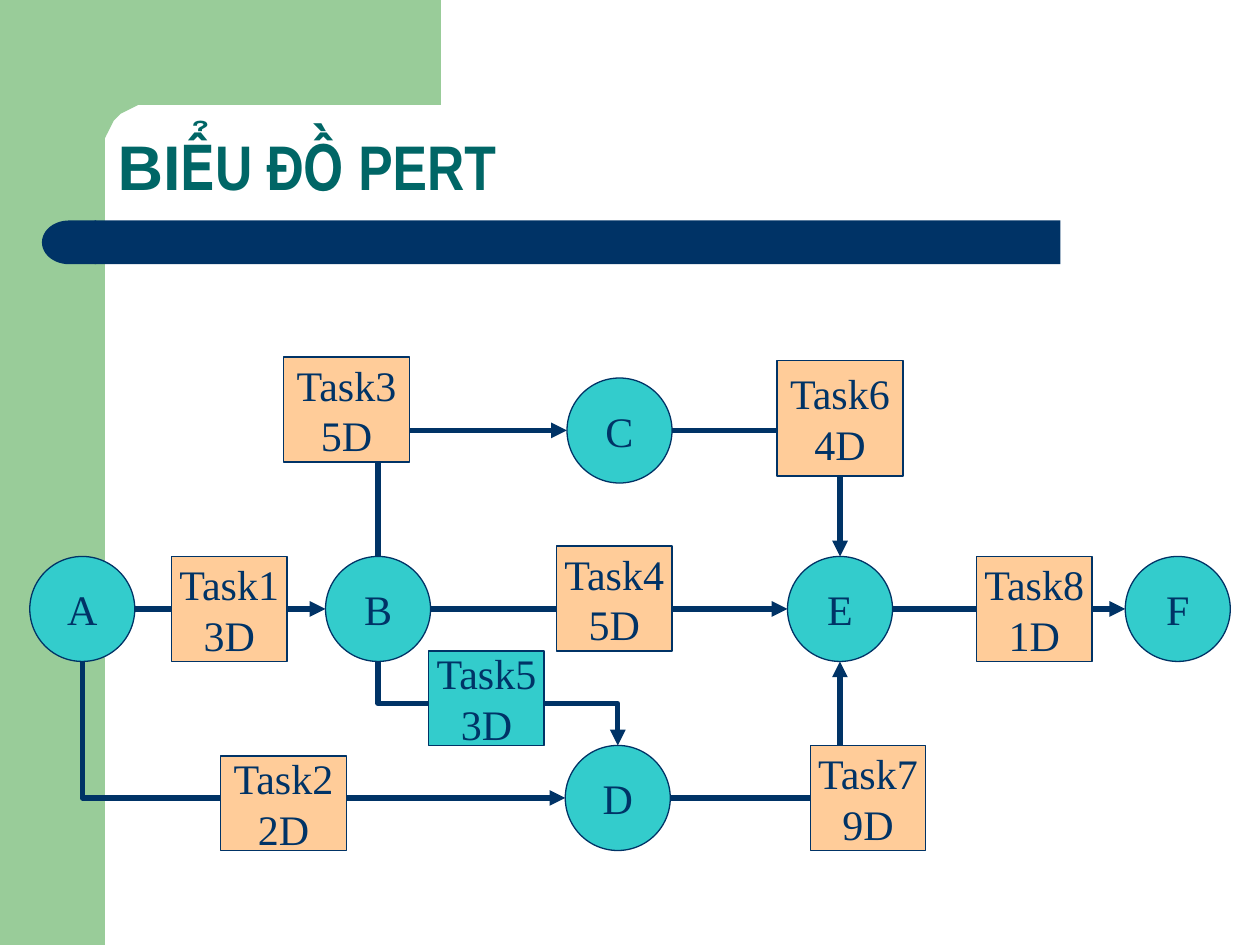
from math import cos, pi, sin
from lxml.etree import SubElement
from pptx import Presentation
from pptx.dml.color import RGBColor
from pptx.enum.shapes import MSO_CONNECTOR, MSO_SHAPE
from pptx.enum.text import MSO_ANCHOR, MSO_AUTO_SIZE, PP_ALIGN
from pptx.oxml.ns import qn
from pptx.util import Pt

NAVY, GREEN, TEAL = "003366", "99CC99", "006666"
TURQUOISE, PEACH = "33CCCC", "FFCC99"
NODE_SIZE = 60

# Node centres, relative to the diagram box
NODES = {"A": (30, 144), "B": (199, 144), "E": (463, 144),
         "D": (336, 252), "C": (337, 42), "F": (656, 144)}
# Name, duration, left, top, width, height, fill
TASKS = [
    ("Task1", "3D", 81, 114, 66, 60, PEACH),
    ("Task7", "9D", 446, 222, 66, 60, PEACH),
    ("Task2", "2D", 109, 228, 72, 54, PEACH),
    ("Task5", "3D", 228, 168, 66, 54, TURQUOISE),
    ("Task4", "5D", 301, 108, 66, 60, PEACH),
    ("Task3", "5D", 145, 0, 72, 60, PEACH),
    ("Task6", "4D", 427, 2, 72, 66, PEACH),
    ("Task8", "1D", 541, 114, 66, 60, PEACH),
]
# From node and side, to node and side, connector preset
LINKS = [
    ("B", "top", "C", "left", "bentConnector2"),
    ("C", "right", "E", "top", "bentConnector2"),
    ("A", "bottom", "D", "left", "bentConnector2"),
    ("D", "right", "E", "bottom", "bentConnector2"),
    ("B", "bottom", "D", "top", "bentConnector3"),
    ("A", "right", "B", "left", "line"),
    ("B", "right", "E", "left", "line"),
    ("E", "right", "F", "left", "line"),
]
SIDES = {"top": (0, -1), "left": (-1, 0), "bottom": (0, 1), "right": (1, 0)}


def color(value):
    return RGBColor.from_string(value)


def paint(shape, fill, line=None):
    shape.shadow.inherit = False
    shape.fill.solid()
    shape.fill.fore_color.rgb = color(fill)
    if line:
        shape.line.color.rgb = color(line)
        shape.line.width = Pt(0.75)
    else:
        shape.line.fill.background()


def add_shape(slide, kind, left, top, width, height, fill, line=None):
    shape = slide.shapes.add_shape(kind, Pt(left), Pt(top), Pt(width), Pt(height))
    paint(shape, fill, line)
    return shape


def add_run(paragraph, text, font, size, value, bold=False):
    run = paragraph.add_run()
    run.text = text
    run.font.name, run.font.size, run.font.bold = font, Pt(size), bold
    run.font.color.rgb = color(value)


def add_label(shape, lines):
    frame = shape.text_frame
    frame.word_wrap = False
    frame.vertical_anchor = MSO_ANCHOR.MIDDLE
    for index, text in enumerate(lines):
        paragraph = frame.paragraphs[0] if index == 0 else frame.add_paragraph()
        paragraph.alignment = PP_ALIGN.CENTER
        add_run(paragraph, text, "Times New Roman", 24, NAVY)


def add_arrow(slide, start, end, preset, vertical_first):
    kind = MSO_CONNECTOR.STRAIGHT if preset == "line" else MSO_CONNECTOR.ELBOW
    connector = slide.shapes.add_connector(kind, *map(Pt, start + end))
    connector.line.color.rgb = color(NAVY)
    connector.line.width = Pt(3)
    properties = connector._element.spPr
    SubElement(properties.find(qn("a:ln")), qn("a:tailEnd"), type="triangle")
    SubElement(properties, qn("a:effectLst"))
    properties.find(qn("a:prstGeom")).set("prst", preset)
    if vertical_first:
        # Turn the box a quarter so that the first leg runs up or down
        (x1, y1), (x2, y2) = start, end
        width, height = abs(y2 - y1), abs(x2 - x1)
        connector.left = Pt((x1 + x2 - width) / 2)
        connector.top = Pt((y1 + y2 - height) / 2)
        connector.width, connector.height = Pt(width), Pt(height)
        upward = y2 < y1
        connector.rotation = 90 if upward else 270
        frame = properties.find(qn("a:xfrm"))
        frame.set("flipH", "1")
        frame.set("flipV", "1" if upward else "0")


def add_background(slide, left, top, width, height):
    band = 60
    add_shape(slide, MSO_SHAPE.RECTANGLE, left, top, band, height, GREEN)
    # Top block with a rounded inner corner
    radius, right = 24, left + 252
    center = left + band + radius, top + band + radius
    arc = [(center[0] - radius * sin(step * pi / 32),
            center[1] - radius * cos(step * pi / 32)) for step in range(17)]
    points = [(right, top), (right, top + band), *arc,
              (left + band, top + 92), (left + 36, top + 92), (left + 36, top)]
    builder = slide.shapes.build_freeform(*points[0], scale=Pt(1))
    builder.add_line_segments(points[1:], close=True)
    paint(builder.convert_to_shape(), GREEN)


def add_title_bar(slide, left, top, width, height):
    cap = 30
    add_shape(slide, MSO_SHAPE.RECTANGLE, left + cap, top, width - cap, height, NAVY)
    end = add_shape(slide, MSO_SHAPE.FLOWCHART_DELAY, left, top, cap + 1, height, NAVY)
    end._element.spPr.find(qn("a:xfrm")).set("flipH", "1")


def add_title(slide, left, top, width, height):
    title = slide.shapes.title
    title.left, title.top = Pt(left), Pt(top)
    title.width, title.height = Pt(width), Pt(height)
    frame = title.text_frame
    frame.word_wrap = True
    frame.auto_size = MSO_AUTO_SIZE.NONE
    frame.vertical_anchor = MSO_ANCHOR.BOTTOM
    paragraph = frame.paragraphs[0]
    paragraph.alignment = PP_ALIGN.LEFT
    paragraph.line_spacing = 0.9
    add_run(paragraph, "BI", "Arial", 36, TEAL, True)
    add_run(paragraph, "ỂU ĐỒ PERT", "Arial Narrow", 36, TEAL, True)


def add_pert_diagram(slide, left, top):
    radius = NODE_SIZE / 2

    def port(node, side):
        (x, y), (dx, dy) = NODES[node], SIDES[side]
        return left + x + dx * radius, top + y + dy * radius

    # Event circles
    for name, (x, y) in NODES.items():
        circle = add_shape(slide, MSO_SHAPE.OVAL, left + x - radius, top + y - radius,
                           NODE_SIZE, NODE_SIZE, TURQUOISE, NAVY)
        add_label(circle, [name])
    # Arrows, passing behind the task boxes
    for source, source_side, target, target_side, preset in LINKS:
        add_arrow(slide, port(source, source_side), port(target, target_side),
                  preset, source_side in ("top", "bottom"))
    # Task boxes
    for name, duration, x, y, width, height, fill in TASKS:
        box = add_shape(slide, MSO_SHAPE.RECTANGLE, left + x, top + y,
                        width, height, fill, NAVY)
        add_label(box, [name, duration])


def main():
    presentation = Presentation()
    presentation.slide_width, presentation.slide_height = Pt(720), Pt(540)
    slide = presentation.slides.add_slide(presentation.slide_layouts[5])
    add_background(slide, 0, 0, 720, 540)
    add_title_bar(slide, 24, 126, 582, 25)
    add_title(slide, 60, 60, 564, 60)
    add_pert_diagram(slide, 17, 204)
    presentation.save("out.pptx")


if __name__ == "__main__":
    main()
